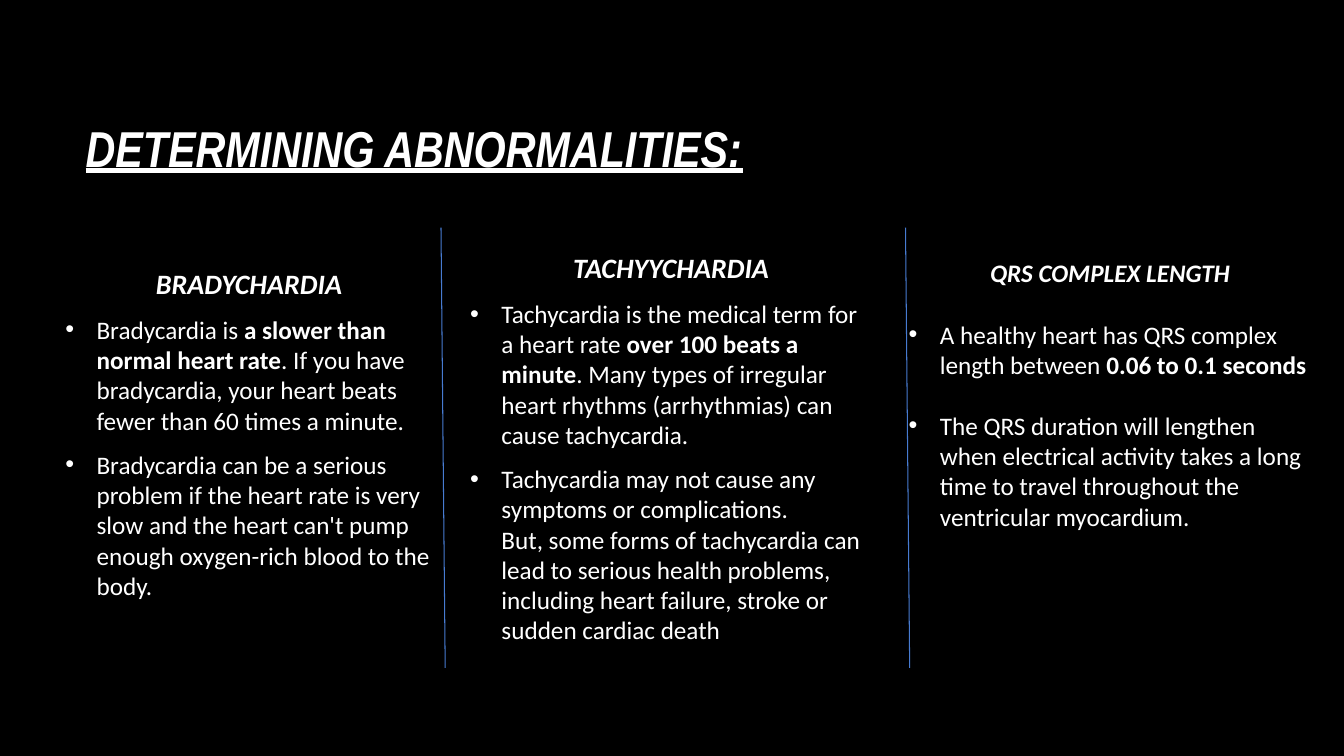
import pptx
import pptx.util
import pptx.dml.color
import pptx.enum.text
import pptx.enum.shapes
import lxml.etree

presentation = pptx.Presentation()
presentation.slide_width = pptx.util.Inches(13.333)
presentation.slide_height = pptx.util.Inches(7.5)
COLUMN = presentation.slide_width / 160
ROW = presentation.slide_height / 90
WHITE = "FFFFFF"
MIDDLE = pptx.enum.text.MSO_ANCHOR.MIDDLE
TOP = pptx.enum.text.MSO_ANCHOR.TOP
LEFT = pptx.enum.text.PP_ALIGN.LEFT
CENTER = pptx.enum.text.PP_ALIGN.CENTER
DRAWING = "{http://schemas.openxmlformats.org/drawingml/2006/main}"


def color(value):
    return pptx.dml.color.RGBColor.from_string(value)


def add_run(paragraph, text, size, bold=False, italic=False, name="Calibri"):
    run = paragraph.add_run()
    run.text = text
    run.font.name = name
    run.font.size = pptx.util.Pt(size)
    run.font.bold = bold
    run.font.italic = italic
    run.font.color.rgb = color(WHITE)
    return run


slide = presentation.slides.add_slide(presentation.slide_layouts[5])
slide.background.fill.solid()
slide.background.fill.fore_color.rgb = color("000000")

title = slide.shapes.title
title.left, title.top = int(9 * COLUMN), int(8 * ROW)
title.width, title.height = int(133 * COLUMN), int(19.1 * ROW)
title.text_frame.auto_size = pptx.enum.text.MSO_AUTO_SIZE.NONE
title.text_frame.vertical_anchor = MIDDLE
title_paragraph = title.text_frame.paragraphs[0]
title_paragraph.alignment = LEFT
title_run = add_run(title_paragraph, "DETERMINING ABNORMALITIES:", 36, True, True, "Arial Narrow")
title_run.font.underline = True

topics = [
    ("BRADYCHARDIA", 20, (6.6, 27.1, 46.1, 49), MIDDLE, 10, [
        [("Bradycardia is\u00a0", False), ("a slower than normal heart rate", True),
         (". If you have bradycardia, your heart beats fewer than 60 times a minute.", False)],
        [("Bradycardia can be a serious problem if the heart rate is very slow and the heart "
          "can't pump enough oxygen-rich blood to the body.", False)],
    ]),
    ("TACHYYCHARDIA", 20, (54.8, 27.1, 50.2, 52.4), MIDDLE, 10, [
        [("Tachycardia is the medical term for a heart rate ", False),
         ("over 100 beats a minute", True),
         (". Many types of irregular heart rhythms (arrhythmias) can cause tachycardia.", False)],
        [("Tachycardia may not cause any symptoms or complications. But,\u00a0some forms of "
          "tachycardia can lead to serious health problems, including heart failure, stroke "
          "or sudden cardiac death", False)],
    ]),
    ("QRS COMPLEX LENGTH", 18, (107, 30.1, 50.3, 34), TOP, 22, [
        [("A healthy heart has QRS complex length between ", False),
         ("0.06 to 0.1 seconds", True)],
        [("The QRS duration will lengthen when electrical activity takes a long time to "
          "travel throughout the ventricular myocardium.", False)],
    ]),
]

for heading, heading_size, (left, top, width, height), anchor, gap, bullets in topics:
    shape = slide.shapes.add_textbox(
        int(left * COLUMN), int(top * ROW), int(width * COLUMN), int(height * ROW))
    frame = shape.text_frame
    frame.word_wrap = True
    frame.vertical_anchor = anchor
    paragraph = frame.paragraphs[0]
    paragraph.alignment = CENTER
    add_run(paragraph, heading, heading_size, True, True)
    for bullet in bullets:
        paragraph = frame.add_paragraph()
        paragraph.alignment = LEFT
        properties = paragraph._p.get_or_add_pPr()
        indent = pptx.util.Inches(0.31)
        properties.set("marL", str(indent))
        properties.set("indent", str(-indent))
        bullet_color = lxml.etree.SubElement(properties, DRAWING + "buClr")
        lxml.etree.SubElement(bullet_color, DRAWING + "srgbClr", val=WHITE)
        lxml.etree.SubElement(properties, DRAWING + "buFont", typeface="Arial")
        lxml.etree.SubElement(properties, DRAWING + "buChar", char="•")
        paragraph.space_before = pptx.util.Pt(gap)
        for text, bold in bullet:
            add_run(paragraph, text, 18, bold)

for left in (52.5, 107.8):
    divider = slide.shapes.add_connector(
        pptx.enum.shapes.MSO_CONNECTOR.STRAIGHT,
        int(left * COLUMN), int(27.1 * ROW), int((left + 0.5) * COLUMN), int(79.5 * ROW))
    divider.line.color.rgb = color("477BD1")
    divider.line.width = pptx.util.Pt(0.75)
    lxml.etree.SubElement(divider._element.spPr, DRAWING + "effectLst")

presentation.save("out.pptx")
